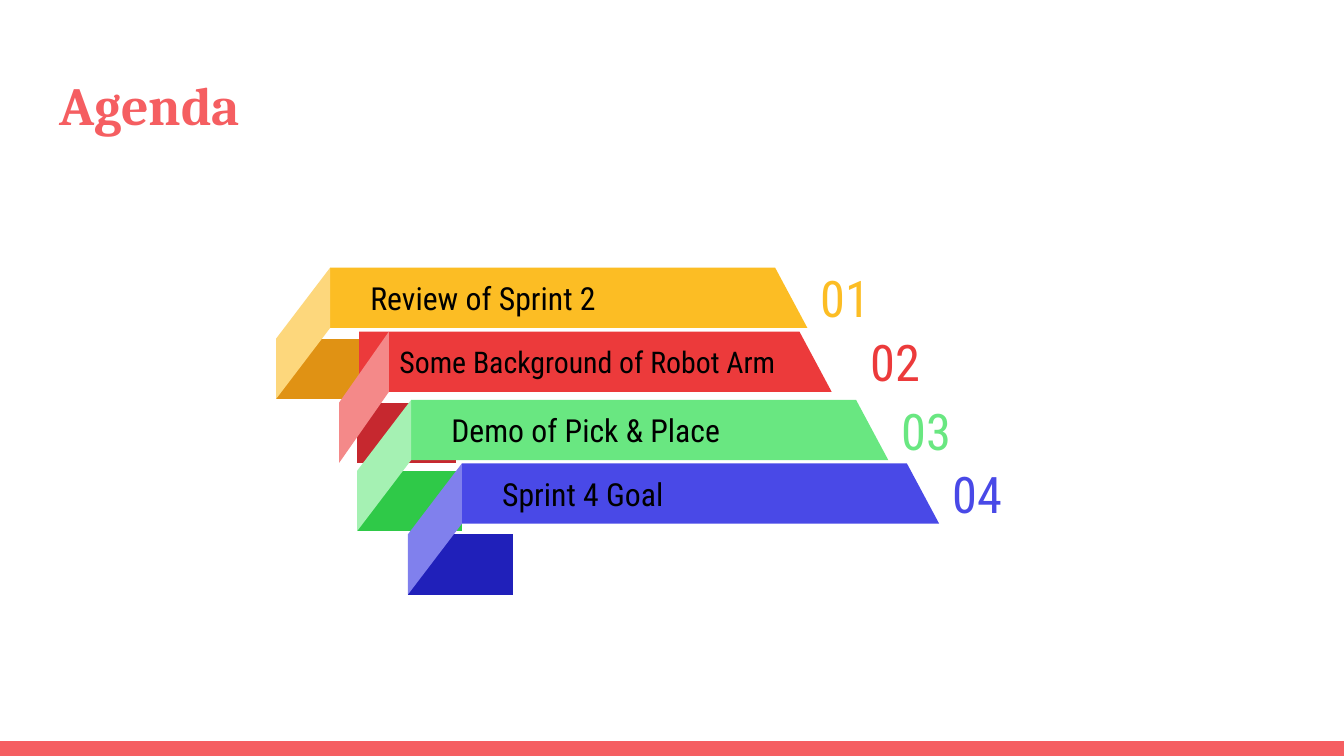
from dataclasses import dataclass

from pptx import Presentation
from pptx import util as u
from pptx.dml.color import RGBColor
from pptx.enum import shapes, text

HEADING_FONT, BODY_FONT = "Cambria", "Roboto Condensed"
ACCENT = "F55E61"
SLIDE_WIDTH, SLIDE_HEIGHT = 25.4, 14.29
BAND_HEIGHT = 1.14
FOLD_DROP = 1.34
SLANT = 0.61
INSET = 0.25


@dataclass
class AgendaItem:
    label: str
    top: float
    fold_left: float
    band_color: str
    under_color: str
    fold_color: str
    size: float = 17
    fold_width: float = 1.02
    band_width: float = 9.02
    band_overlap: float = 0  # how far the band reaches behind the fold
    under_shift: float = 0
    under_width: float = 1.98
    number_gap: float = 0


AGENDA = [
    AgendaItem("Review of Sprint 2", 5.06, 5.22, "FCBD24", "E09214", "FDD77C"),
    AgendaItem("Some Background of Robot Arm", 6.27, 6.41, "EC3A3B", "C6282F", "F48989",
               size=16, fold_width=0.94, band_width=8.93, band_overlap=0.56,
               under_shift=0.34, under_width=1.87, number_gap=0.48),
    AgendaItem("Demo of Pick & Place", 7.56, 6.75, "69E781", "2FC948", "A5F1B3"),
    AgendaItem("Sprint 4 Goal", 8.76, 7.71, "4949E7", "2020BA", "8080ED"),
]


def color(hex_string):
    return RGBColor.from_string(hex_string)


def paint(shape, fill):
    shape.shadow.inherit = False
    shape.fill.solid()
    shape.fill.fore_color.rgb = color(fill)
    shape.line.fill.background()


def write(shape, content, *, size, font, fill, bold=False, left_inset=INSET,
          anchor=text.MSO_ANCHOR.MIDDLE):
    frame = shape.text_frame
    frame.word_wrap = True
    frame.auto_size = text.MSO_AUTO_SIZE.NONE
    frame.vertical_anchor = anchor
    frame.margin_left = u.Cm(left_inset)
    frame.margin_top = frame.margin_right = frame.margin_bottom = u.Cm(INSET)
    paragraph = frame.paragraphs[0]
    paragraph.alignment = text.PP_ALIGN.LEFT
    run = paragraph.add_run()
    run.text = content
    run.font.size = u.Pt(size)
    run.font.name = font
    run.font.bold = bold
    run.font.color.rgb = color(fill)


def add_polygon(group, points, fill):
    corners = [(u.Cm(x), u.Cm(y)) for x, y in points]
    builder = group.shapes.build_freeform(*corners[0], scale=1.0)
    builder.add_line_segments(corners[1:], close=True)
    shape = builder.convert_to_shape()
    paint(shape, fill)
    return shape


def add_title(slide, content):
    title = slide.shapes.title
    title.left, title.top = u.Cm(0.87), u.Cm(1.1)
    title.width, title.height = u.Cm(23.67), u.Cm(1.72)
    write(title, content, size=28.8, font=HEADING_FONT, fill=ACCENT, bold=True,
          anchor=text.MSO_ANCHOR.TOP)


def add_footer_strip(slide):
    top = 14.01
    strip = slide.shapes.add_shape(
        shapes.MSO_SHAPE.RECTANGLE, 0, u.Cm(top),
        u.Cm(SLIDE_WIDTH), u.Cm(SLIDE_HEIGHT - top))
    paint(strip, ACCENT)


def add_agenda_item(slide, number, item):
    group = slide.shapes.add_group_shape()
    top, bottom = item.top, item.top + BAND_HEIGHT
    fold_right = item.fold_left + item.fold_width
    band_left = fold_right - item.band_overlap
    band_right = band_left + item.band_width

    # Front band with a slanted right end
    band = add_polygon(group, [(band_left, top), (band_left, bottom), (band_right, bottom),
                               (band_right - SLANT, top)], item.band_color)
    write(band, item.label, size=item.size, font=BODY_FONT, fill="000000", left_inset=0.76)

    # Darker back piece under the band
    under_left = item.fold_left + item.under_shift
    under_right = under_left + item.under_width
    add_polygon(group, [(under_left, top + FOLD_DROP), (under_left, bottom + FOLD_DROP),
                        (under_right, bottom + FOLD_DROP), (under_right, top + FOLD_DROP)],
                item.under_color)

    # Light fold joining the two
    add_polygon(group, [(fold_right, top), (item.fold_left, top + FOLD_DROP),
                        (item.fold_left, bottom + FOLD_DROP), (fold_right, bottom)],
                item.fold_color)

    # Number to the right
    box = group.shapes.add_textbox(u.Cm(band_right + item.number_gap), u.Cm(top),
                                   u.Cm(2.39), u.Cm(BAND_HEIGHT))
    write(box, f"{number:02}", size=27, font=BODY_FONT, fill=item.band_color)


def main():
    presentation = Presentation()
    presentation.slide_width = u.Cm(SLIDE_WIDTH)
    presentation.slide_height = u.Cm(SLIDE_HEIGHT)
    slide = presentation.slides.add_slide(presentation.slide_layouts[5])

    add_footer_strip(slide)
    add_title(slide, "Agenda")
    for number, item in enumerate(AGENDA, start=1):
        add_agenda_item(slide, number, item)

    presentation.save("out.pptx")


if __name__ == "__main__":
    main()
